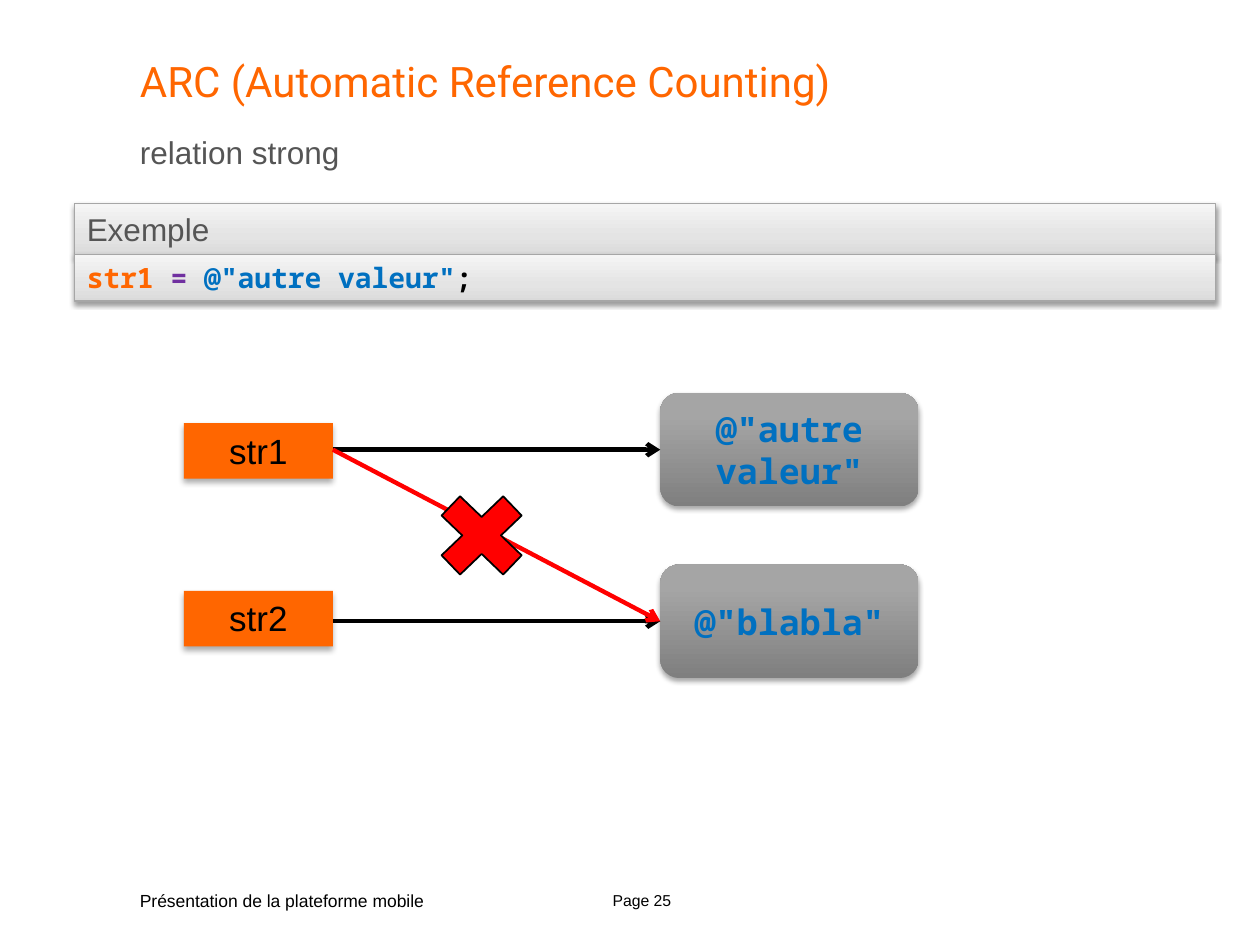
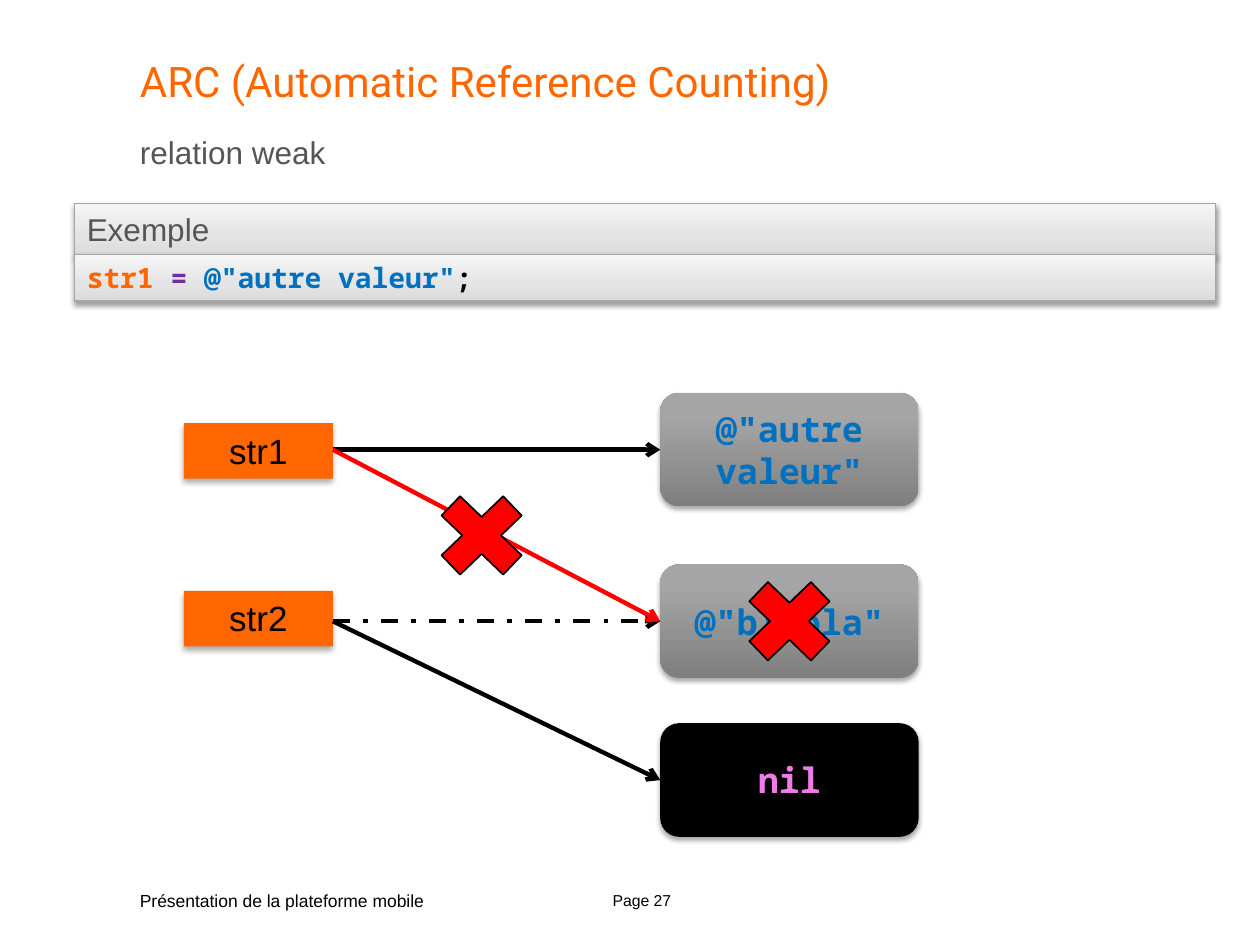
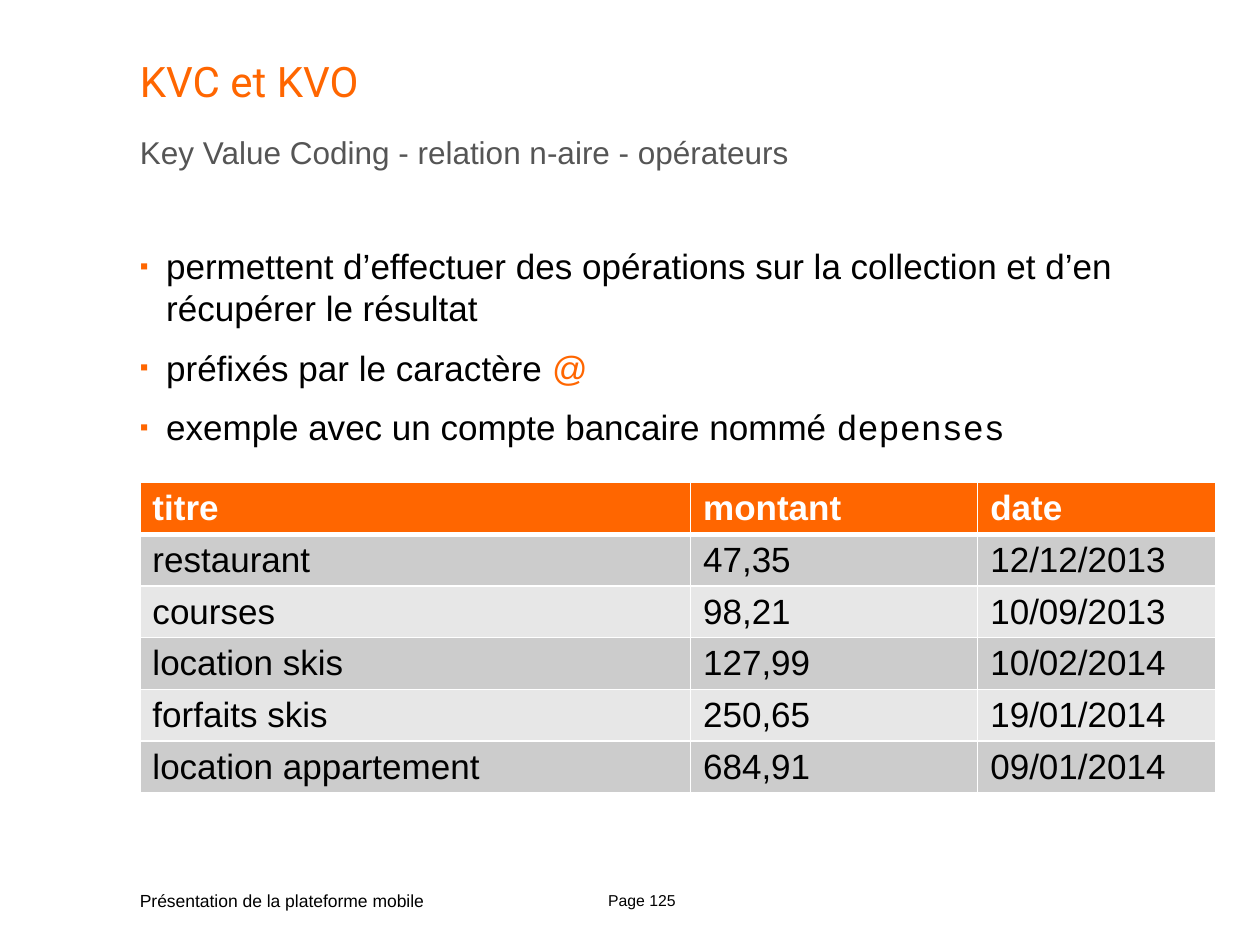
from dataclasses import dataclass

from pptx import Presentation
from pptx.dml.color import RGBColor
from pptx.enum.dml import MSO_LINE
from pptx.enum.shapes import MSO_CONNECTOR, MSO_SHAPE
from pptx.enum.text import MSO_ANCHOR, MSO_AUTO_SIZE, PP_ALIGN
from pptx.oxml.ns import qn
from pptx.util import Cm, Pt
from lxml.etree import SubElement

COLORS = {
    "accent": "FF6600", "subtitle": "555555", "text": "000000", "white": "FFFFFF",
    "string": "0070C0", "operator": "7030A0", "keyword": "EE7CE6", "cut": "FF0000",
    "bar_line": "A6A6A6", "odd_row": "CCCCCC", "even_row": "E7E7E7",
    "bar_low": "DADADA", "bar_mid": "E4E4E4", "bar_high": "F5F5F5",
    "value_low": "7F7F7F", "value_high": "A5A5A5",
}
SANS, MONO, TITLE_FONT, COURIER = "Arial", "Noto Sans Mono", "Roboto", "Courier New"

# Gradient stops run from bottom to top
BAR_STOPS = [(0, "bar_low"), (35, "bar_mid"), (100, "bar_high")]
VALUE_STOPS = [(0, "value_low"), (80, "value_high"), (100, "value_high")]
# Shadows: opacity in %, blur and distance in points
BAR_SHADOW, LABEL_SHADOW, VALUE_SHADOW = (38, 3.1, 1.6), (32, 3.5, 2.2), (35, 3.1, 1.8)


@dataclass
class Box:
    """A rectangle in centimetres."""
    left: float
    top: float
    width: float
    height: float

    @property
    def right(self):
        return self.left + self.width

    @property
    def middle(self):
        return self.top + self.height / 2

    def lengths(self):
        return Cm(self.left), Cm(self.top), Cm(self.width), Cm(self.height)


TITLE = Box(2.82, 1.12, 21.69, 1.37)
SUBTITLE = Box(2.82, 2.69, 21.69, 0.84)
FOOTER = Box(2.82, 17.81, 6.91, 0.61)
PAGE_NUMBER = Box(11.91, 17.83, 2.06, 0.61)
EXAMPLE = Box(1.5, 4.11, 23.01, 1.96)
DIAGRAM = Box(3.71, 7.92, 14.81, 8.95)
BULLETS = Box(2.82, 4.93, 21.69, 4.39)
TABLE = Box(2.82, 9.73, 21.69, 6.17)


def rgb(name):
    return RGBColor.from_string(COLORS[name])


# --- Text -----------------------------------------------------------------
def add_span(para, text, size, color="text", font=SANS, bold=False):
    span = para.add_run()
    span.text = text
    span.font.size, span.font.name, span.font.bold = Pt(size), font, bold
    span.font.color.rgb = rgb(color)


def set_frame(frame, anchor=MSO_ANCHOR.TOP, insets=None, grow=False):
    frame.word_wrap = True
    frame.auto_size = MSO_AUTO_SIZE.SHAPE_TO_FIT_TEXT if grow else MSO_AUTO_SIZE.NONE
    frame.vertical_anchor = anchor
    if insets:
        frame.margin_left = frame.margin_right = Cm(insets[0])
        frame.margin_top = frame.margin_bottom = Cm(insets[1])


def add_text(page, box, text, size, color="text", align=PP_ALIGN.LEFT, insets=(0, 0)):
    frame = page.shapes.add_textbox(*box.lengths()).text_frame
    set_frame(frame, insets=insets)
    para = frame.paragraphs[0]
    para.alignment = align
    add_span(para, text, size, color)


# --- Shapes ---------------------------------------------------------------
def set_gradient(shape, stops):
    shape.fill.gradient()
    shape.fill.gradient_angle = 90
    stop_list = shape._element.spPr.find(f"{qn('a:gradFill')}/{qn('a:gsLst')}")
    for stop in list(stop_list):
        stop_list.remove(stop)
    for position, color in stops:
        stop = SubElement(stop_list, qn("a:gs"), pos=str(position * 1000))
        SubElement(stop, qn("a:srgbClr"), val=COLORS[color])


def set_shadow(shape, opacity, blur, distance):
    effects = shape._element.spPr.find(qn("a:effectLst"))
    shadow = SubElement(effects, qn("a:outerShdw"), blurRad=str(Pt(blur)),
                        dist=str(Pt(distance)), dir="5400000", rotWithShape="0")
    color = SubElement(shadow, qn("a:srgbClr"), val=COLORS["text"])
    SubElement(color, qn("a:alpha"), val=str(opacity * 1000))


def add_block(page, kind, box, fill, line=None, line_width=1, shadow=None):
    """Add a preset shape; fill is a colour name or a list of gradient stops."""
    shape = page.shapes.add_shape(kind, *box.lengths())
    shape.shadow.inherit = False
    if isinstance(fill, str):
        shape.fill.solid()
        shape.fill.fore_color.rgb = rgb(fill)
    else:
        set_gradient(shape, fill)
    if line:
        shape.line.color.rgb = rgb(line)
        shape.line.width = Pt(line_width)
    else:
        shape.line.fill.background()
    if shadow:
        set_shadow(shape, *shadow)
    return shape


def add_arrow(page, start, end, color="text", dash=None):
    arrow = page.shapes.add_connector(
        MSO_CONNECTOR.STRAIGHT, *[Cm(value) for value in (*start, *end)])
    arrow.line.color.rgb = rgb(color)
    arrow.line.width = Pt(2.5)
    if dash:
        arrow.line.dash_style = dash
    SubElement(arrow.line._get_or_add_ln(), qn("a:tailEnd"), type="arrow")
    SubElement(arrow._element.spPr, qn("a:effectLst"))


def add_cross(page, center_x, center_y):
    width, height = 2.39, 2.29
    box = Box(center_x - width / 2, center_y - height / 2, width, height)
    add_block(page, MSO_SHAPE.MATH_MULTIPLY, box, "cut", "text")


# --- Regions --------------------------------------------------------------
def add_page(deck, title, subtitle, number):
    """Add a page with its title, subtitle and footer."""
    page = deck.slides.add_slide(deck.slide_layouts[5])
    heading = page.shapes.title
    heading.left, heading.top, heading.width, heading.height = TITLE.lengths()
    set_frame(heading.text_frame, insets=(0, 0))
    para = heading.text_frame.paragraphs[0]
    para.alignment = PP_ALIGN.LEFT
    add_span(para, title, 24, "accent", TITLE_FONT)
    add_text(page, SUBTITLE, subtitle, 18, "subtitle")
    add_text(page, FOOTER, "Présentation de la plateforme mobile", 10, insets=(0, 0.13))
    add_text(page, PAGE_NUMBER, f"Page {number}", 9,
             align=PP_ALIGN.CENTER, insets=(0.25, 0.13))
    return page


def add_example(page, box):
    """Heading bar with a bar of code under it."""
    heading_height = 1.02
    heading = [("Exemple", 18, "subtitle")]
    code = [(text, 16, color, MONO, True) for text, color in (
        ("str1 ", "accent"), ("= ", "operator"),
        ('@"autre valeur"', "string"), (";", "text"))]
    bars = [
        (Box(box.left, box.top, box.width, heading_height), heading),
        (Box(box.left, box.top + heading_height, box.width,
             box.height - heading_height), code),
    ]
    for bar_box, spans in bars:
        bar = add_block(page, MSO_SHAPE.RECTANGLE, bar_box, BAR_STOPS,
                        "bar_line", 0.75, BAR_SHADOW)
        set_frame(bar.text_frame, grow=True)
        para = bar.text_frame.paragraphs[0]
        para.alignment = PP_ALIGN.LEFT
        for span in spans:
            add_span(para, *span)


def add_variable(page, box, name):
    label = add_block(page, MSO_SHAPE.RECTANGLE, box, "accent", shadow=LABEL_SHADOW)
    set_frame(label.text_frame, grow=True)
    para = label.text_frame.paragraphs[0]
    para.alignment = PP_ALIGN.CENTER
    add_span(para, name, 20)


def add_value(page, box, text, fill=VALUE_STOPS, color="string"):
    value = add_block(page, MSO_SHAPE.ROUNDED_RECTANGLE, box, fill, shadow=VALUE_SHADOW)
    set_frame(value.text_frame, MSO_ANCHOR.MIDDLE)
    para = value.text_frame.paragraphs[0]
    para.alignment = PP_ALIGN.CENTER
    add_span(para, text, 20, color, MONO, True)


def add_diagram(page, box, weak):
    """Variables on the left, the values they refer to on the right."""
    value_width, value_height = 5.21, 2.29
    new, old, nil = [Box(box.right - value_width, box.top + offset, value_width, value_height)
                     for offset in (0, 3.46, 6.66)]
    variables = [Box(box.left, box.top + offset, 3, 1.12) for offset in (0.61, 3.99)]
    for number, variable in enumerate(variables, 1):
        add_variable(page, variable, f"str{number}")
    add_value(page, new, '@"autre valeur"')
    add_value(page, old, '@"blabla"')

    # References
    start_x, end_x = variables[0].right, new.left
    first, second = (start_x, new.middle), (start_x, old.middle)
    add_arrow(page, first, (end_x, new.middle))
    add_arrow(page, second, (end_x, old.middle), dash=MSO_LINE.DASH_DOT if weak else None)
    add_arrow(page, first, (end_x, old.middle), "cut")
    add_cross(page, box.left + 6, (new.middle + old.middle) / 2)

    # The weak reference falls back to nil
    if weak:
        add_value(page, nil, "nil", "text", "keyword")
        add_arrow(page, second, (end_x, nil.middle))
        add_cross(page, old.left + old.width / 2, old.middle)


def add_bullets(page, box, items):
    frame = page.shapes.add_textbox(*box.lengths()).text_frame
    set_frame(frame, insets=(0, 0))
    for index, spans in enumerate(items):
        para = frame.paragraphs[0] if index == 0 else frame.add_paragraph()
        para.space_after = Pt(10)
        props = para._p.get_or_add_pPr()
        props.set("marL", str(Cm(0.53)))
        props.set("indent", str(Cm(-0.53)))
        bullet_color = SubElement(props, qn("a:buClr"))
        SubElement(bullet_color, qn("a:srgbClr"), val=COLORS["accent"])
        SubElement(props, qn("a:buSzPct"), val="70000")
        SubElement(props, qn("a:buFont"), typeface=SANS)
        SubElement(props, qn("a:buChar"), char="▪")
        for text, *style in spans:
            add_span(para, text, 20, *style)


def set_borders(cell, top, bottom):
    props = cell._tc.get_or_add_tcPr()
    for side, width in (("L", 1), ("R", 1), ("T", top), ("B", bottom)):
        line = SubElement(props, qn(f"a:ln{side}"), w=str(Pt(width)))
        fill = SubElement(line, qn("a:solidFill"))
        SubElement(fill, qn("a:srgbClr"), val=COLORS["white"])


def add_expenses(page, box, rows):
    widths = (11.1, 5.79, 4.8)
    table = page.shapes.add_table(len(rows), len(widths), *box.lengths()).table
    for column, width in zip(table.columns, widths):
        column.width = Cm(width)
    for row_index, row in enumerate(rows):
        header = row_index == 0
        fill = "accent" if header else "odd_row" if row_index % 2 else "even_row"
        for column_index, text in enumerate(row):
            cell = table.cell(row_index, column_index)
            set_borders(cell, 3 if row_index == 1 else 1, 3 if header else 1)
            cell.fill.solid()
            cell.fill.fore_color.rgb = rgb(fill)
            add_span(cell.text_frame.paragraphs[0], text, 20,
                     "white" if header else "text", bold=header)


# --- Pages ----------------------------------------------------------------
def add_reference_page(deck, number, weak):
    page = add_page(deck, "ARC (Automatic Reference Counting)",
                    "relation weak" if weak else "relation strong", number)
    add_example(page, EXAMPLE)
    add_diagram(page, DIAGRAM, weak)


def add_operators_page(deck, number):
    page = add_page(deck, "KVC et KVO",
                    "Key Value Coding - relation n-aire - opérateurs", number)
    add_bullets(page, BULLETS, [
        [("permettent d’effectuer des opérations sur la collection "
          "et d’en récupérer le résultat",)],
        [("préfixés par le caractère ",), ("@", "accent")],
        [("exemple avec un compte bancaire nommé ",), ("depenses", "text", COURIER)],
    ])
    add_expenses(page, TABLE, [
        ("titre", "montant", "date"),
        ("restaurant", "47,35", "12/12/2013"),
        ("courses", "98,21", "10/09/2013"),
        ("location skis", "127,99", "10/02/2014"),
        ("forfaits skis", "250,65", "19/01/2014"),
        ("location appartement", "684,91", "09/01/2014"),
    ])


def main():
    deck = Presentation()
    deck.slide_width, deck.slide_height = Cm(25.4), Cm(19.05)
    add_reference_page(deck, 25, weak=False)
    add_reference_page(deck, 27, weak=True)
    add_operators_page(deck, 125)
    deck.save("out.pptx")


if __name__ == "__main__":
    main()
